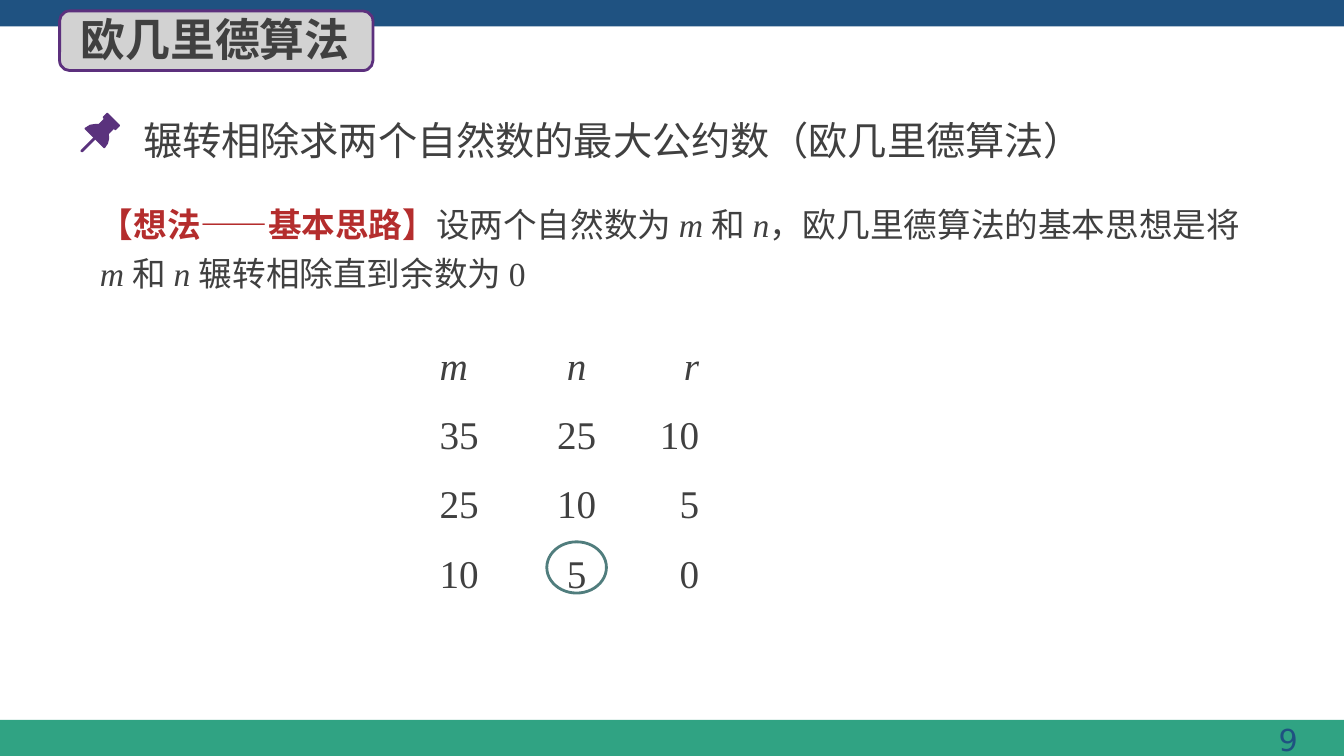
from dataclasses import dataclass
from typing import NamedTuple, Optional

from lxml import etree
from pptx import Presentation
from pptx.dml.color import RGBColor
from pptx.enum.shapes import MSO_SHAPE
from pptx.enum.text import MSO_ANCHOR, MSO_AUTO_SIZE, PP_ALIGN
from pptx.oxml.ns import qn
from pptx.util import Emu, Inches, Pt

RECTANGLE, ROUNDED, OVAL = MSO_SHAPE.RECTANGLE, MSO_SHAPE.ROUNDED_RECTANGLE, MSO_SHAPE.OVAL
LEFT, CENTER, RIGHT = PP_ALIGN.LEFT, PP_ALIGN.CENTER, PP_ALIGN.RIGHT
TOP, MIDDLE = MSO_ANCHOR.TOP, MSO_ANCHOR.MIDDLE
NO_FIT = MSO_AUTO_SIZE.NONE

WIDTH, HEIGHT = Inches(13.33), Inches(7.5)
COLUMNS, ROWS = 160, 90
COLUMN, ROW = WIDTH / COLUMNS, HEIGHT / ROWS


@dataclass(frozen=True)
class Theme:
    navy: str = "1F5281"
    green: str = "30A383"
    grey: str = "D2D2D2"
    purple: str = "5C307D"
    pin: str = "5A327D"
    ring: str = "507D7D"
    ink: str = "404040"
    red: str = "B42D2D"
    title_size: float = 32
    headline_size: float = 28
    idea_size: float = 24
    number_size: float = 21.6
    outline: float = 2
    sans: str = "Noto Sans CJK SC"
    serif: str = "Times New Roman"
    digits: str = "DejaVu Sans"


THEME = Theme()


class Box(NamedTuple):
    left: float
    top: float
    width: float
    height: float


class Panel(NamedTuple):
    geometry: int
    box: Box
    fill: Optional[str] = None
    line: Optional[str] = None


class Span(NamedTuple):
    text: str
    italic: bool = False
    bold: bool = False
    color: str = THEME.ink


class Variable(NamedTuple):
    name: str
    left: float
    align: int
    values: tuple[str, ...]


PANELS = [
    Panel(RECTANGLE, Box(0, 85.7, COLUMNS, 4.3), fill=THEME.green),
    Panel(RECTANGLE, Box(0, 0, COLUMNS, 3.15), fill=THEME.navy),
    Panel(ROUNDED, Box(7.1, 1.3, 37.3, 7.1), fill=THEME.grey, line=THEME.purple),
    Panel(OVAL, Box(65.1, 64.5, 7.1, 6.1), line=THEME.ring),
]
TITLE_BOX = Box(8.4, 0.85, 35.4, 7.7)
HEADLINE_BOX = Box(15.85, 12.15, 136, 7.3)
IDEA_BOX = Box(10.7, 22.8, 140.4, 12.5)
NUMBER_BOX = Box(120.4, 85.3, 35.3, 5.5)

STEPS_TOP, STEP_PITCH = 38.9, 8.25
VALUE_WIDTH, VALUE_HEIGHT = 9, 7.4
VARIABLES = [
    Variable("m", 51.15, LEFT, ("35", "25", "10")),
    Variable("n", 64.15, CENTER, ("25", "10", "5")),
    Variable("r", 75.4, RIGHT, ("10", "5", "0")),
]

PIN_HEAD = [
    (14.28, 14.9), (12.84, 13.44), (12.72, 13.44), (12.24, 13.92), (12.24, 14.04),
    (12.36, 14.16), (11.76, 14.76), (11.28, 14.76), (10.7, 14.85), (10.08, 15.24),
    (10.08, 15.36), (12.36, 17.64), (12.48, 17.64), (12.85, 17.1), (13, 16.5),
    (12.96, 15.96), (13.56, 15.36), (13.68, 15.48), (13.8, 15.48), (14.28, 15),
]
PIN_NEEDLE = [
    (9.72, 18.12), (9.6, 18.05), (9.6, 17.9), (11.16, 16.32),
    (11.35, 16.32), (11.4, 16.56), (9.84, 18.12),
]

IDEA = [
    Span("【想法——基本思路】", bold=True, color=THEME.red),
    Span("设两个自然数为 "),
    Span("m ", italic=True),
    Span("和 "),
    Span("n", italic=True),
    Span("，欧几里德算法的基本思想是将 "),
    Span("m ", italic=True),
    Span("和 "),
    Span("n ", italic=True),
    Span("辗转相除直到余数为 0"),
]


def place(box: Box) -> tuple[Emu, Emu, Emu, Emu]:
    return (Emu(round(box.left * COLUMN)), Emu(round(box.top * ROW)),
            Emu(round(box.width * COLUMN)), Emu(round(box.height * ROW)))


def paint(shape, fill: Optional[str], line: Optional[str]) -> None:
    shape.shadow.inherit = False
    if fill:
        shape.fill.solid()
        shape.fill.fore_color.rgb = RGBColor.from_string(fill)
    else:
        shape.fill.background()
    if line:
        shape.line.color.rgb = RGBColor.from_string(line)
        shape.line.width = Pt(THEME.outline)
    else:
        shape.line.fill.background()


def draw_panel(slide, panel: Panel) -> None:
    paint(slide.shapes.add_shape(panel.geometry, *place(panel.box)), panel.fill, panel.line)


def draw_outline(slide, points: list[tuple[float, float]], fill: str) -> None:
    corners = [(round(x * 100), round(y * 100)) for x, y in points]
    builder = slide.shapes.build_freeform(*corners[0], scale=(COLUMN / 100, ROW / 100))
    builder.add_line_segments(corners[1:], close=True)
    paint(builder.convert_to_shape(), fill, None)


def write(slide, box: Box, spans: list[Span], *, size: float, font: str, holder=None,
          align=LEFT, anchor=TOP, spacing=1.0) -> None:
    target = holder or slide.shapes.add_textbox(*place(box))
    target.left, target.top, target.width, target.height = place(box)
    target.element.getparent().append(target.element)
    frame = target.text_frame
    frame.word_wrap = True
    frame.auto_size = NO_FIT
    frame.vertical_anchor = anchor
    paragraph = frame.paragraphs[0]
    settings = paragraph._p.get_or_add_pPr()
    settings.set("marL", "0")
    settings.set("indent", "0")
    etree.SubElement(settings, qn("a:buNone"))
    paragraph.alignment = align
    paragraph.line_spacing = spacing
    paragraph.space_before = Pt(0)
    for span in spans:
        run = paragraph.add_run()
        run.text = span.text
        run.font.size = Pt(size)
        run.font.bold = span.bold
        run.font.italic = span.italic
        run.font.color.rgb = RGBColor.from_string(span.color)
        run.font.name = font
        etree.SubElement(run._r.get_or_add_rPr(), qn("a:ea"), typeface=THEME.sans)


def write_variable(slide, variable: Variable) -> None:
    spans = [Span(variable.name, italic=True), *map(Span, variable.values)]
    for step, span in enumerate(spans):
        box = Box(variable.left, STEPS_TOP + step * STEP_PITCH, VALUE_WIDTH, VALUE_HEIGHT)
        write(slide, box, [span], size=THEME.headline_size, font=THEME.serif,
              align=variable.align, spacing=1.2)


def main() -> None:
    deck = Presentation()
    deck.slide_width, deck.slide_height = WIDTH, HEIGHT
    slide = deck.slides.add_slide(deck.slide_layouts[3])
    title, headline, idea = slide.placeholders

    for panel in PANELS:
        draw_panel(slide, panel)
    for points in (PIN_HEAD, PIN_NEEDLE):
        draw_outline(slide, points, THEME.pin)

    write(slide, TITLE_BOX, [Span("欧几里德算法", bold=True)], holder=title,
          size=THEME.title_size, font=THEME.sans)
    write(slide, HEADLINE_BOX, [Span("辗转相除求两个自然数的最大公约数（欧几里德算法）")],
          holder=headline, size=THEME.headline_size, font=THEME.sans, spacing=1.2)
    write(slide, IDEA_BOX, IDEA, holder=idea, size=THEME.idea_size, font=THEME.serif,
          anchor=MIDDLE, spacing=Pt(35))
    for variable in VARIABLES:
        write_variable(slide, variable)
    write(slide, NUMBER_BOX, [Span("9", color=THEME.navy)],
          size=THEME.number_size, font=THEME.digits, align=RIGHT)
    deck.save("out.pptx")


if __name__ == "__main__":
    main()
